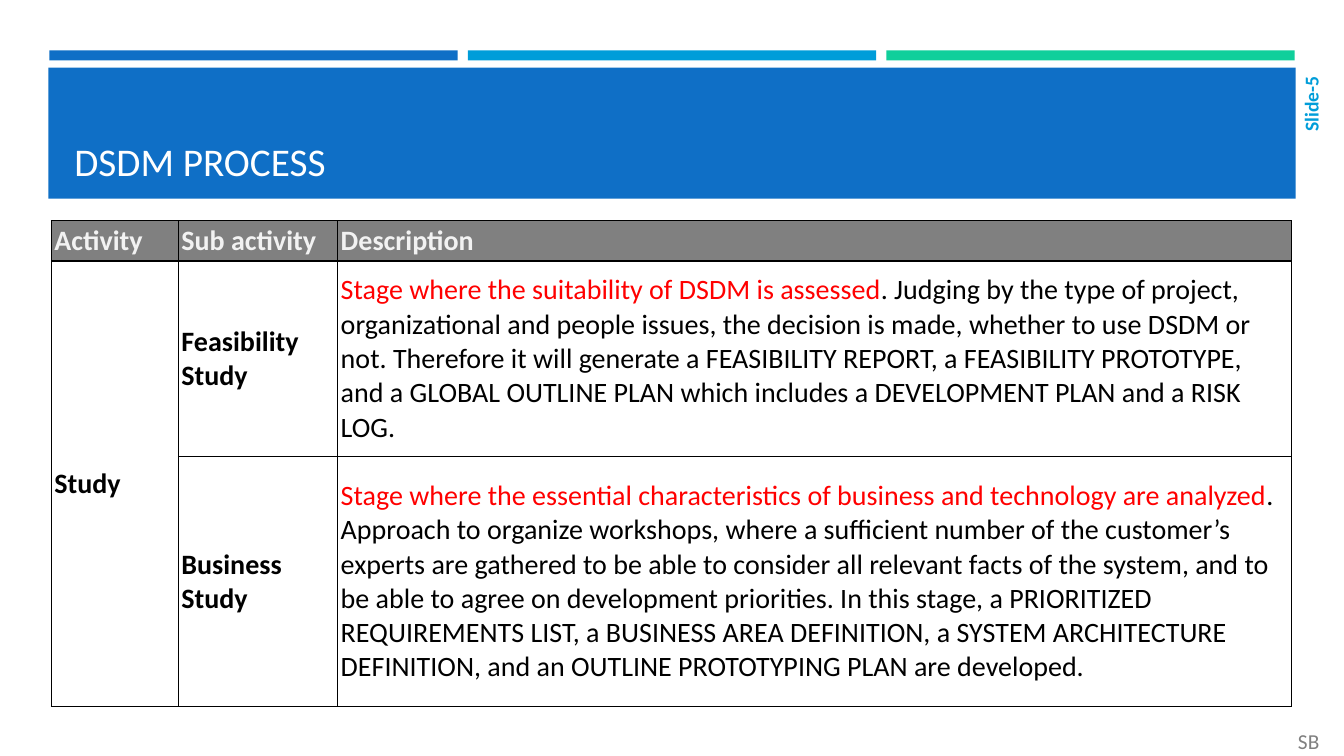
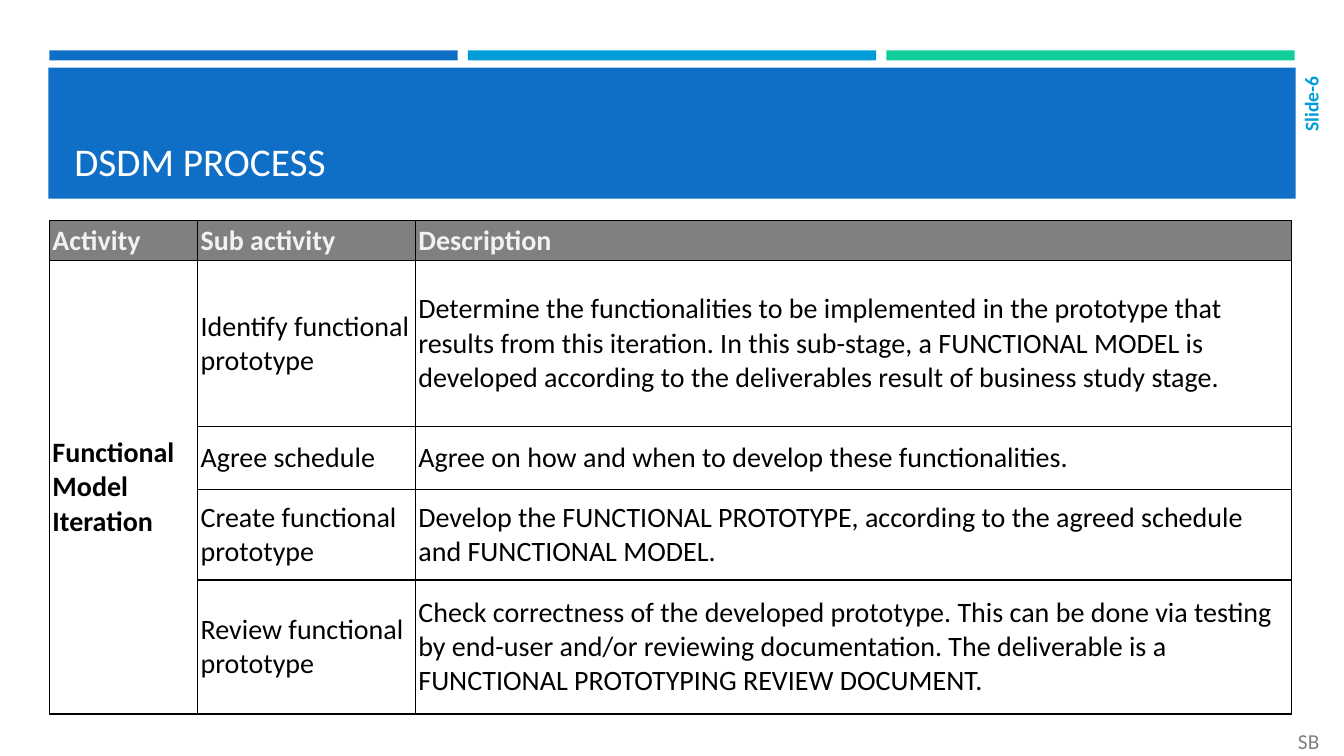
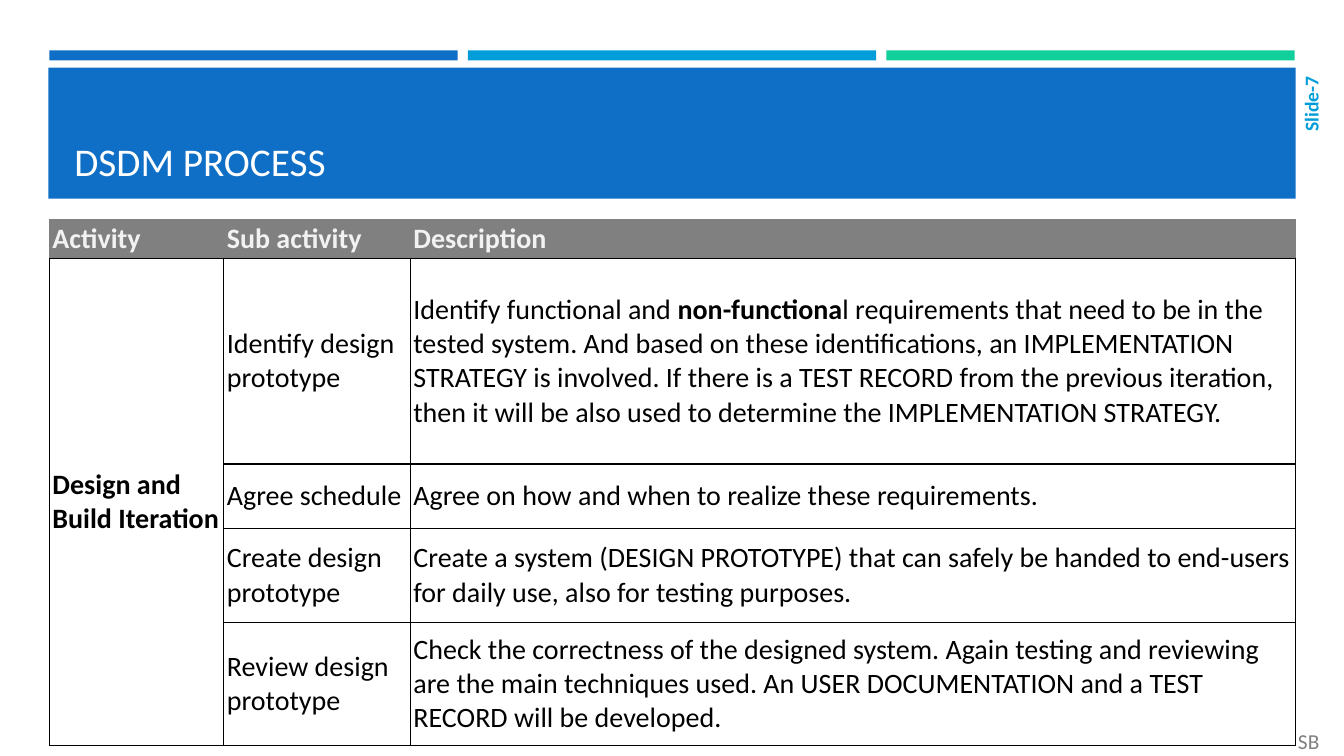
from lxml import etree
from pptx import Presentation
from pptx.dml.color import RGBColor
from pptx.enum import shapes, text
from pptx.oxml.ns import qn
from pptx.util import Pt

PX = 9144  # EMU in one px, 100 px to the inch
FONT = "Calibri"
BLUE, SKY, GREEN = "0F6FC6", "009DD9", "10CF9B"
WHITE, BLACK, RED = "FFFFFF", "000000", "FF0000"
GREY, PALE = "808080", "F2F2F2"

TITLE = "DSDM PROCESS"
FOOTER = "SB"
FIRST_NUMBER = 5
HEADINGS = ["Activity", "Sub activity", "Description"]
CELL_MARGIN = 3

# A description is a list of (text, style) runs; style is "", "bold" or "red".
SLIDES = [
    {
        "at": (51, 219), "cols": [126, 158, 946], "rows": [40, 194, 248],
        "header_lines": "LRTB", "bold_sub": True, "activity": "Study",
        "steps": [
            ("Feasibility Study", [
                ("Stage where the suitability of DSDM is assessed", "red"),
                (". Judging by the type of project, organizational and people issues, "
                 "the decision is made, whether to use DSDM or not. Therefore it will "
                 "generate a FEASIBILITY REPORT, a FEASIBILITY PROTOTYPE, and a GLOBAL "
                 "OUTLINE PLAN which includes a DEVELOPMENT PLAN and a RISK LOG.", "")]),
            ("Business Study", [
                ("Stage where the essential characteristics of business and technology "
                 "are analyzed", "red"),
                (". Approach to organize workshops, where a sufficient number of the "
                 "customer’s experts are gathered to be able to consider all relevant "
                 "facts of the system, and to be able to agree on development "
                 "priorities. In this stage, a PRIORITIZED REQUIREMENTS LIST, a BUSINESS "
                 "AREA DEFINITION, a SYSTEM ARCHITECTURE DEFINITION, and an OUTLINE "
                 "PROTOTYPING PLAN are developed.", "")]),
        ],
    },
    {
        "at": (49, 219), "cols": [147, 216, 869], "rows": [39, 165, 62, 90, 133],
        "header_lines": "LRTB", "bold_sub": False,
        "activity": "Functional Model Iteration",
        "steps": [
            ("Identify functional prototype", [
                ("Determine the functionalities to be implemented in the prototype that "
                 "results from this iteration. In this sub-stage, a FUNCTIONAL MODEL is "
                 "developed according to the deliverables result of business study "
                 "stage.", "")]),
            ("Agree schedule", [
                ("Agree on how and when to develop these functionalities.", "")]),
            ("Create functional prototype", [
                ("Develop the FUNCTIONAL PROTOTYPE, according to the agreed schedule and "
                 "FUNCTIONAL MODEL.", "")]),
            ("Review functional prototype", [
                ("Check correctness of the developed prototype. This can be done via "
                 "testing by end-user and/or reviewing documentation. The deliverable is "
                 "a FUNCTIONAL PROTOTYPING REVIEW DOCUMENT.", "")]),
        ],
    },
    {
        "at": (49, 217), "cols": [173, 185, 878], "rows": [39, 204, 64, 93, 122],
        "header_lines": "B", "bold_sub": False,
        "activity": "Design and Build Iteration",
        "steps": [
            ("Identify design prototype", [
                ("Identify functional and ", ""),
                ("non-functiona", "bold"),
                ("l requirements that need to be in the tested system. And based on "
                 "these identifications, an IMPLEMENTATION STRATEGY is involved. If "
                 "there is a TEST RECORD from the previous iteration, then it will be "
                 "also used to determine the IMPLEMENTATION STRATEGY.", "")]),
            ("Agree schedule", [
                ("Agree on how and when to realize these requirements.", "")]),
            ("Create design prototype", [
                ("Create a system (DESIGN PROTOTYPE) that can safely be handed to "
                 "end-users for daily use, also for testing purposes.", "")]),
            ("Review design prototype", [
                ("Check the correctness of the designed system. Again testing and "
                 "reviewing are the main techniques used. An USER DOCUMENTATION and a "
                 "TEST RECORD will be developed.", "")]),
        ],
    },
]


def rgb(color):
    return RGBColor.from_string(color)


def px(*lengths):
    return [round(n * PX) for n in lengths]


def style(font, size, color, bold=False):
    font.name, font.size, font.bold = FONT, Pt(size), bold
    font.color.rgb = rgb(color)


def add_bar(s, box, color):
    bar = s.shapes.add_shape(shapes.MSO_SHAPE.RECTANGLE, *px(*box))
    bar.shadow.inherit = False
    bar.fill.solid()
    bar.fill.fore_color.rgb = rgb(color)
    bar.line.fill.background()


def add_label(s, box, words, size, color, anchor, align, bold=False):
    tf = s.shapes.add_textbox(*px(*box)).text_frame
    tf.word_wrap = True
    tf.vertical_anchor = anchor
    p = tf.paragraphs[0]
    p.text, p.alignment = words, align
    style(p.font, size, color, bold)
    return tf


def add_frame(s, number):
    """Bars, title, slide number and footer found on every slide."""
    for i, color in enumerate([BLUE, SKY, GREEN]):
        add_bar(s, (49 + i * 415, 50, 405, 10), color)
    add_bar(s, (48, 67, 1237, 130), BLUE)
    anchor, align = text.MSO_ANCHOR, text.PP_ALIGN
    add_label(s, (64, 77, 1206, 111), TITLE, 28, WHITE, anchor.BOTTOM, align.LEFT)
    tf = add_label(s, (1287, 66, 26, 112), f"Slide-{number}", 14, SKY,
                   anchor.MIDDLE, align.RIGHT, True)
    tf.margin_left = tf.margin_right = 0
    tf._txBody.bodyPr.set("vert", "vert270")
    add_label(s, (1263, 720, 70, 30), FOOTER, 15.2, GREY, anchor.MIDDLE, align.CENTER)


def set_borders(cell, sides):
    """Draw black 1 pt lines on the named sides and none on the others."""
    tc_pr = cell._tc.get_or_add_tcPr()
    for side in "LRTB":
        ln = etree.SubElement(tc_pr, qn(f"a:ln{side}"), w=str(Pt(1)))
        if side in sides:
            fill = etree.SubElement(ln, qn("a:solidFill"))
            etree.SubElement(fill, qn("a:srgbClr"), val=BLACK)
        else:
            etree.SubElement(ln, qn("a:noFill"))


def fill_cell(cell, runs, color=BLACK, bold=False):
    cell.margin_left, cell.margin_right, cell.margin_top, cell.margin_bottom = (
        px(CELL_MARGIN) * 4)
    cell.vertical_anchor = text.MSO_ANCHOR.MIDDLE
    p = cell.text_frame.paragraphs[0]
    style(p.font, 20, color, bold)
    for words, look in runs:
        r = p.add_run()
        r.text = words
        style(r.font, 20, RED if look == "red" else color, bold or look == "bold")


def add_process_table(s, data):
    cols, rows = data["cols"], data["rows"]
    table = s.shapes.add_table(len(rows), len(cols), *px(*data["at"], sum(cols), sum(rows))).table
    table.first_row = table.horz_banding = False
    for column, width in zip(table.columns, px(*cols)):
        column.width = width
    for row, height in zip(table.rows, px(*rows)):
        row.height = height

    for i, row in enumerate(table.rows):
        for cell in row.cells:
            set_borders(cell, "LRTB" if i else data["header_lines"])
            if i:
                cell.fill.background()
            else:
                cell.fill.solid()
                cell.fill.fore_color.rgb = rgb(GREY)

    for i, heading in enumerate(HEADINGS):
        fill_cell(table.cell(0, i), [(heading, "")], PALE, True)
    table.cell(1, 0).merge(table.cell(len(rows) - 1, 0))
    fill_cell(table.cell(1, 0), [(data["activity"], "")], bold=True)
    for i, (sub_activity, description) in enumerate(data["steps"], 1):
        fill_cell(table.cell(i, 1), [(sub_activity, "")], bold=data["bold_sub"])
        fill_cell(table.cell(i, 2), description)


def main():
    prs = Presentation()
    prs.slide_width, prs.slide_height = px(1333, 750)
    for number, data in enumerate(SLIDES, FIRST_NUMBER):
        s = prs.slides.add_slide(prs.slide_layouts[6])
        add_frame(s, number)
        add_process_table(s, data)
    prs.save("out.pptx")


if __name__ == "__main__":
    main()
